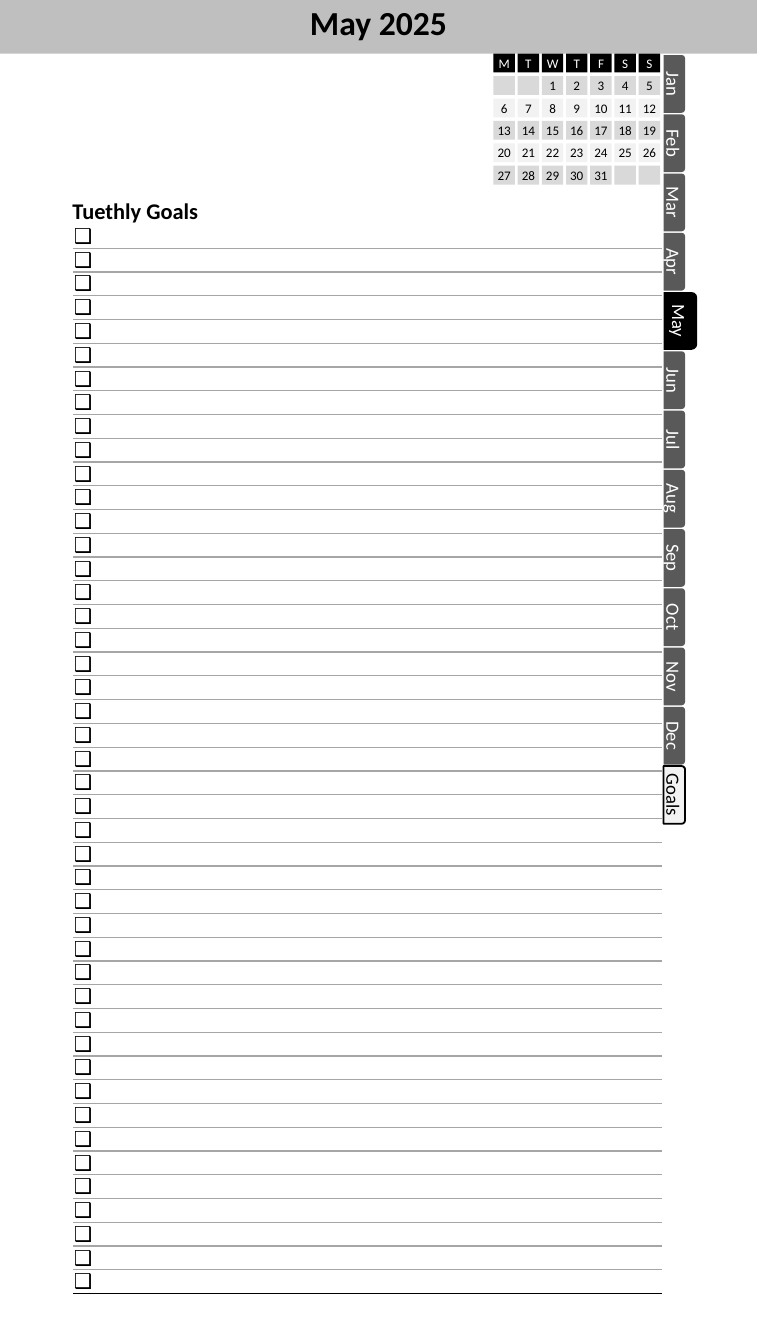
from lxml import etree
from pptx import Presentation
from pptx.dml.color import RGBColor
from pptx.enum import shapes, text
from pptx.oxml import ns
from pptx.util import Inches, Pt

FONT = "Calibri"
BLACK, WHITE, GREY = "000000", "FFFFFF", "A6A6A6"
MONTHS = "Jan Feb Mar Apr May Jun Jul Aug Sep Oct Nov Dec".split()
CURRENT = "May"
FIRST_WEEKDAY, DAYS = 2, 31
GOAL_ROWS = 45


def rgb(value):
    return RGBColor.from_string(value)


def sub(parent, tag, **attrs):
    return etree.SubElement(parent, ns.qn(tag), attrs)


def write(tf, content, size, color=BLACK, bold=False, align=None):
    tf.text = content
    p = tf.paragraphs[0]
    p.alignment = align
    for r in p.runs:
        r.font.name = FONT
        r.font.size = Pt(size)
        r.font.bold = bold
        r.font.color.rgb = rgb(color)
    return p


def add_block(parent, kind, box, fill, label="", size=10, color=BLACK, line=None):
    """Add a filled shape with a centred label and no insets."""
    sp = parent.add_shape(kind, *[Inches(v) for v in box])
    sp.shadow.inherit = False
    sp.fill.solid()
    sp.fill.fore_color.rgb = rgb(fill)
    if line:
        sp.line.color.rgb = rgb(line)
        sp.line.width = Pt(1)
    else:
        sp.line.fill.background()
    if label:
        tf = sp.text_frame
        tf.margin_left = tf.margin_right = tf.margin_top = tf.margin_bottom = 0
        tf.vertical_anchor = text.MSO_ANCHOR.MIDDLE
        write(tf, label, size, color, align=text.PP_ALIGN.CENTER)
    return sp


def add_title(s, content):
    sp = s.shapes.title
    sp.left, sp.top, sp.width, sp.height = [Inches(v) for v in (1.27, 0, 3.09, 0.4)]
    tf = sp.text_frame
    tf.margin_top, tf.margin_bottom = 0, Inches(0.03)
    tf.vertical_anchor = text.MSO_ANCHOR.MIDDLE
    p = write(tf, content, 18, bold=True, align=text.PP_ALIGN.CENTER)
    p.line_spacing = 0.9


def add_heading(s, content):
    sp = s.shapes.add_textbox(Inches(0.44), Inches(1.42), Inches(1.15), Inches(0.3))
    sp.text_frame.word_wrap = False
    write(sp.text_frame, content, 12, bold=True)


def set_border(cell, side, color, width):
    """Put a border on a cell; call before the cell's fill is set."""
    ln = sub(cell._tc.get_or_add_tcPr(), "a:" + side, w=str(Pt(width)))
    sub(sub(ln, "a:solidFill"), "a:srgbClr", val=color)


def add_checkbox(cell):
    p = cell.text_frame.paragraphs[0]
    pPr = p._p.get_or_add_pPr()
    pPr.set("marL", str(Inches(0.17)))
    pPr.set("indent", str(-Inches(0.17)))
    sub(sub(pPr, "a:buClr"), "a:srgbClr", val=BLACK)
    sub(pPr, "a:buSzPct", val="110000")
    sub(pPr, "a:buFont", typeface=FONT)
    sub(pPr, "a:buChar", char="❑")
    r = p.add_run()
    r.text = " "  # a bullet is only drawn beside some text
    r.font.name = FONT
    r.font.size = Pt(10)


def add_goal_list(s):
    height = Inches(7.97)
    frame = s.shapes.add_table(GOAL_ROWS, 1, Inches(0.55), Inches(1.67),
                               Inches(4.37), height)
    table = frame.table
    table.first_row = table.horz_banding = False
    for i, row in enumerate(table.rows):
        row.height = height // GOAL_ROWS
        cell = row.cells[0]
        cell.margin_left = cell.margin_right = 0
        cell.margin_top = cell.margin_bottom = 0
        cell.vertical_anchor = text.MSO_ANCHOR.MIDDLE
        if i > 0:
            set_border(cell, "lnT", GREY, 0.75)
        if i < GOAL_ROWS - 1:
            set_border(cell, "lnB", GREY, 0.75)
        else:
            set_border(cell, "lnB", BLACK, 1)
        cell.fill.background()
        add_checkbox(cell)


def add_tab(s, index, label):
    """Add a month tab, turned a quarter so that it points right."""
    width, height, center_x = 0.43, 0.16, 5.015
    fill, color, line = "595959", WHITE, None
    if label == CURRENT:
        height, center_x, fill = 0.25, 5.06, BLACK
    elif label == "Goals":
        fill, color, line = "F2F2F2", BLACK, BLACK
    center_y = 0.625 + index * 5.29 / 12
    box = (center_x - width / 2, center_y - height / 2, width, height)
    sp = add_block(s.shapes, shapes.MSO_SHAPE.ROUND_2_SAME_RECTANGLE, box,
                   fill, label, color=color, line=line)
    sp.rotation = 90


def add_calendar(s):
    group = s.shapes.add_group_shape()
    days = [str(d) for d in range(1, DAYS + 1)]
    labels = list("MTWTFSS") + [""] * FIRST_WEEKDAY + days
    labels += [""] * (-len(labels) % 7)
    for i, label in enumerate(labels):
        row, col = divmod(i, 7)
        fill = BLACK if row == 0 else "D9D9D9" if row % 2 else "F2F2F2"
        box = (3.67 + col * 0.18, 0.4 + row / 6, 0.16, 0.14)
        add_block(group.shapes, shapes.MSO_SHAPE.RECTANGLE, box, fill, label,
                  size=7, color=WHITE if row == 0 else BLACK)


def main():
    prs = Presentation()
    prs.slide_width, prs.slide_height = Inches(5.63), Inches(10)
    s = prs.slides.add_slide(prs.slide_layouts[5])
    band = add_block(s.shapes, shapes.MSO_SHAPE.RECTANGLE, (0, 0, 5.63, 0.4), "BFBFBF")
    s.shapes.title._element.addprevious(band._element)
    add_goal_list(s)
    add_heading(s, "Tuethly Goals")
    add_title(s, "May 2025")
    for i, label in enumerate(MONTHS + ["Goals"]):
        add_tab(s, i, label)
    add_calendar(s)
    prs.save("out.pptx")


if __name__ == "__main__":
    main()
